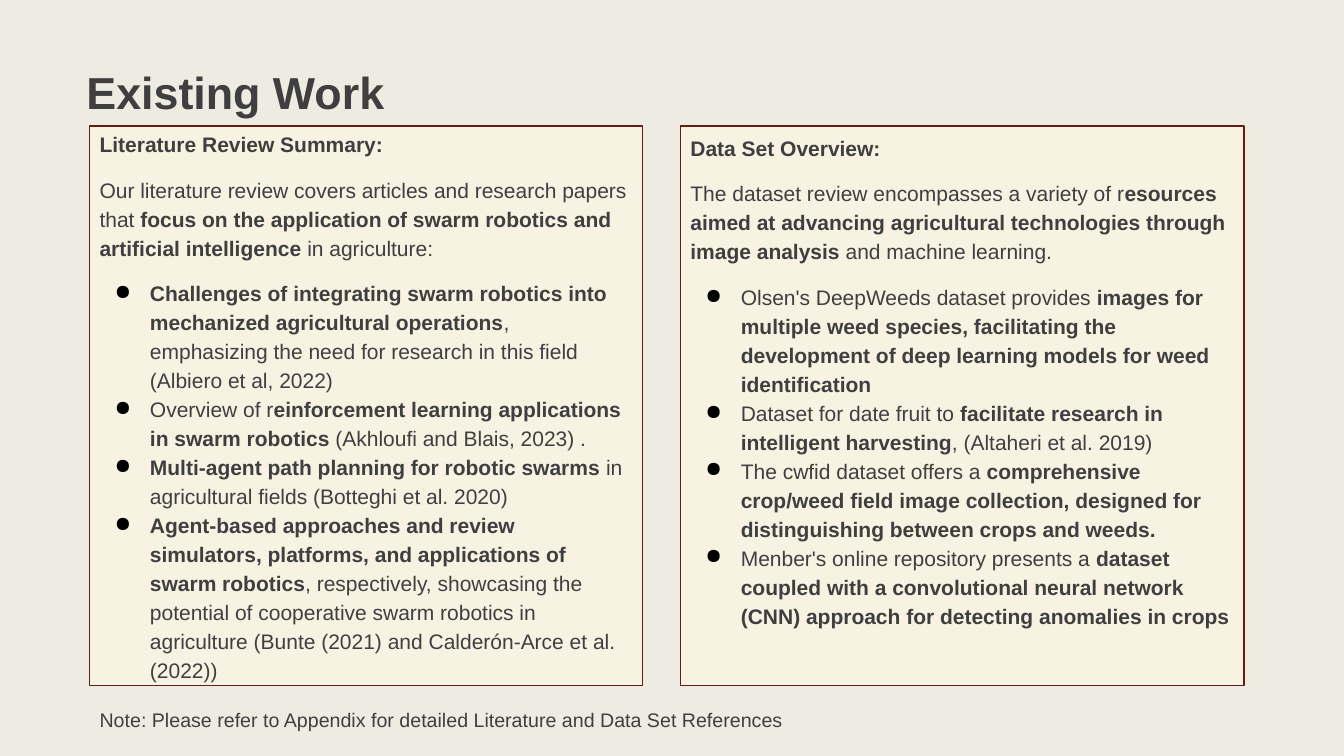
from pptx import Presentation
from pptx.dml.color import RGBColor
from pptx.enum.shapes import MSO_SHAPE
from pptx.enum.text import MSO_ANCHOR, PP_ALIGN
from pptx.oxml.ns import qn
from pptx.util import Cm, Pt
from lxml import etree

RECTANGLE = MSO_SHAPE.RECTANGLE
TOP = MSO_ANCHOR.TOP
LEFT = PP_ALIGN.LEFT

COLORS = {
    "page": "EEEBE2",
    "panel": "F8F2E2",
    "border": "601E17",
    "text": "3F3F3F",
    "bullet": "000000",
}
FONT = "Arial"
PANEL_TOP, PANEL_HEIGHT = 3.18, 14.1

LITERATURE = {
    "heading": "**Literature Review Summary:**",
    "intro": "Our literature review covers articles and research papers that **focus on the "
             "application of swarm robotics and artificial intelligence** in agriculture:",
    "bullets": [
        "**Challenges of integrating swarm robotics into mechanized agricultural operations**, "
        "emphasizing the need for research in this field (Albiero et al, 2022)",
        "Overview of r**einforcement learning applications in swarm robotics **"
        "(Akhloufi and Blais, 2023) .",
        "**Multi-agent path planning for robotic swarms** in agricultural fields "
        "(Botteghi et al. 2020)",
        "**Agent-based approaches and review simulators, platforms, and applications of swarm "
        "robotics**, respectively, showcasing the potential of cooperative swarm robotics in "
        "agriculture (Bunte (2021) and Calderón-Arce et al. (2022))",
    ],
}
DATA_SETS = {
    "heading": "**Data Set Overview:**",
    "intro": "The dataset review encompasses a variety of r**esources aimed at advancing "
             "agricultural technologies through image analysis** and machine learning.",
    "bullets": [
        "Olsen's DeepWeeds dataset provides **images for multiple weed species, facilitating "
        "the development of deep learning models for weed identification**",
        "Dataset for date fruit to **facilitate research in intelligent harvesting**, "
        "(Altaheri et al. 2019)",
        "The cwfid dataset offers a **comprehensive crop/weed field image collection, designed "
        "for distinguishing between crops and weeds.**",
        "Menber's online repository presents a **dataset coupled with a convolutional neural "
        "network (CNN) approach for detecting anomalies in crops**",
    ],
}


def color(name):
    """Return the named colour."""
    return RGBColor.from_string(COLORS[name])


def prepare_frame(frame, insets):
    """Set wrapping, top anchor and left, top, right, bottom insets."""
    frame.word_wrap = True
    frame.vertical_anchor = TOP
    frame.margin_left, frame.margin_top, frame.margin_right, frame.margin_bottom = map(Cm, insets)


def add_bullet(para):
    """Give a paragraph a hanging round bullet."""
    properties = para._p.get_or_add_pPr()
    properties.set("marL", str(Cm(1.27)))
    properties.set("indent", str(Cm(-0.89)))
    bullet_color = etree.SubElement(properties, qn("a:buClr"))
    etree.SubElement(bullet_color, qn("a:srgbClr"), val=COLORS["bullet"])
    etree.SubElement(properties, qn("a:buChar"), char="●")


def write(frame, text, size=15, before=0, spacing=1.0, bullet=False):
    """Add a paragraph in which double asterisks switch bold on and off."""
    para = frame.paragraphs[0]
    if para.runs:
        para = frame.add_paragraph()
    if bullet:
        add_bullet(para)
    para.alignment = LEFT
    para.line_spacing = spacing
    para.space_before = Pt(before)
    for index, part in enumerate(text.split("**")):
        if part:
            span = para.add_run()
            span.text = part
            span.font.name = FONT
            span.font.size = Pt(size)
            span.font.bold = index % 2 == 1
            span.font.color.rgb = color("text")


def add_label(page, box, text, size, insets):
    """Place a single line of text in the given box."""
    frame = page.shapes.add_textbox(*map(Cm, box)).text_frame
    prepare_frame(frame, insets)
    write(frame, text, size=size)


def add_panel(page, box, content, heading_spacing):
    """Fill the given box with a heading, an introduction and bullets."""
    panel = page.shapes.add_shape(RECTANGLE, *map(Cm, box))
    panel.shadow.inherit = False
    panel.fill.solid()
    panel.fill.fore_color.rgb = color("panel")
    panel.line.color.rgb = color("border")
    panel.line.width = Pt(1)
    frame = panel.text_frame
    prepare_frame(frame, (0.25, 0.13, 0.25, 0.13))
    write(frame, content["heading"], spacing=heading_spacing)
    write(frame, content["intro"], before=12, spacing=1.15)
    for index, text in enumerate(content["bullets"]):
        write(frame, text, before=0 if index else 12, spacing=1.15, bullet=True)


def main():
    """Build and save the deck."""
    deck = Presentation()
    deck.slide_width, deck.slide_height = Cm(33.87), Cm(19.05)
    page = deck.slides.add_slide(deck.slide_layouts[6])
    page.background.fill.solid()
    page.background.fill.fore_color.rgb = color("page")
    add_label(page, (1.88, 1.22, 29.64, 1.65), "**Existing Work**", 32, (0.3, 0.42, 0.3, 0.25))
    add_panel(page, (2.26, PANEL_TOP, 13.94, PANEL_HEIGHT), LITERATURE, 1.0)
    add_panel(page, (17.15, PANEL_TOP, 14.2, PANEL_HEIGHT), DATA_SETS, 1.15)
    add_label(page, (2.26, 17.58, 25.98, 0.94),
              "Note: Please refer to Appendix for detailed Literature and Data Set References",
              14, (0.25, 0.25, 0.25, 0.25))
    deck.save("out.pptx")


if __name__ == "__main__":
    main()
